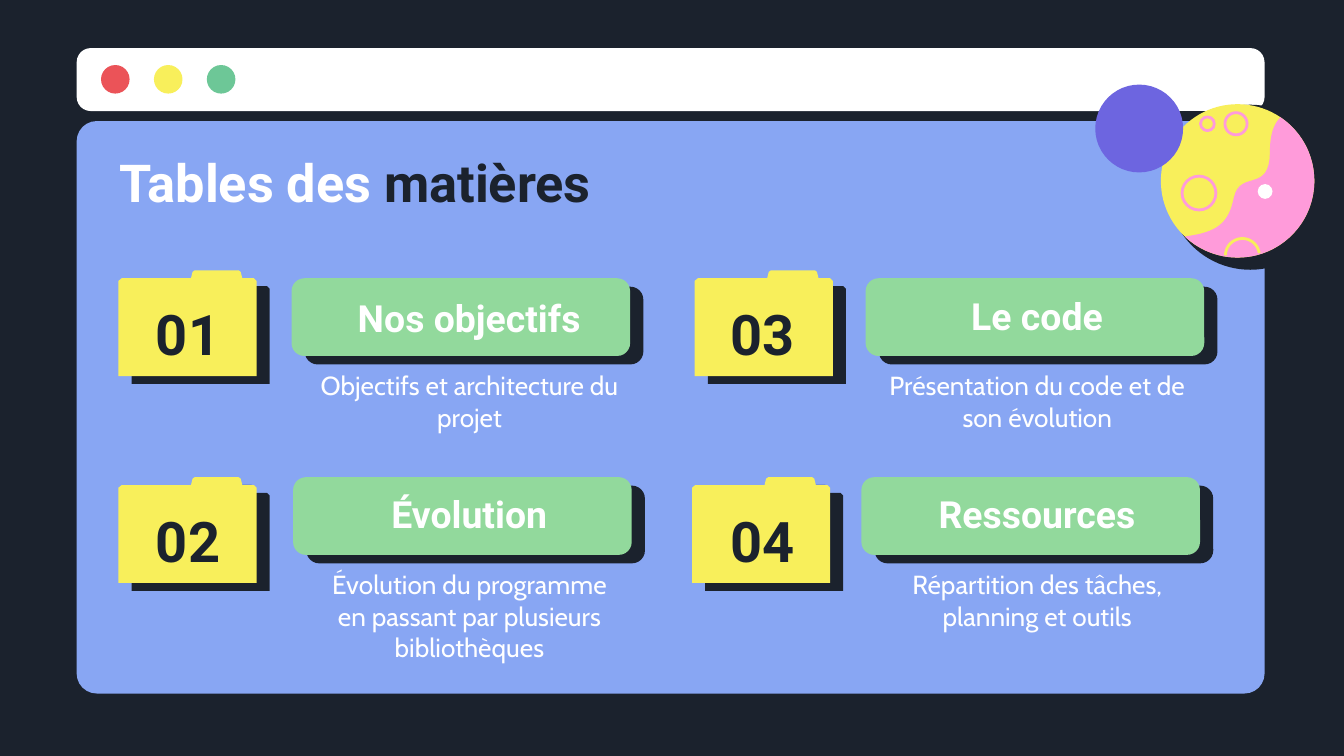
from math import atan2, cos, pi, radians, sin

from lxml.etree import SubElement
from pptx import Presentation
from pptx.dml.color import RGBColor
from pptx.enum.shapes import MSO_SHAPE
from pptx.enum.text import MSO_ANCHOR, MSO_AUTO_SIZE, PP_ALIGN
from pptx.oxml.ns import qn
from pptx.util import Cm, Pt

NIGHT, WHITE, BLUE = "1B222D", "FFFFFF", "88A6F3"
RED, YELLOW, TEAL = "EB5358", "F8EF5B", "6DC797"
GREEN, PINK, PURPLE = "92D99C", "FF9BDA", "6D65E0"
INSET = 0.25


def color(hex_code):
    return RGBColor.from_string(hex_code)


def paint(shape, fill=None, line=None, weight=1.5):
    shape.shadow.inherit = False
    if fill:
        shape.fill.solid()
        shape.fill.fore_color.rgb = color(fill)
    else:
        shape.fill.background()
    if line:
        shape.line.color.rgb = color(line)
        shape.line.width = Pt(weight)
    else:
        shape.line.fill.background()
    return shape


def add_panel(slide, box, fill, radius):
    panel = slide.shapes.add_shape(MSO_SHAPE.ROUNDED_RECTANGLE, *map(Cm, box))
    panel.adjustments[0] = radius
    return paint(panel, fill)


def add_disc(slide, x, y, radius, fill=None, line=None):
    """Circle centred on x, y."""
    box = (x - radius, y - radius, 2 * radius, 2 * radius)
    return paint(slide.shapes.add_shape(MSO_SHAPE.OVAL, *map(Cm, box)), fill, line)


def add_outline(slide, x, y, points, fill=None, line=None):
    """Freeform whose points are measured from x, y."""
    corners = [(Cm(x + dx), Cm(y + dy)) for dx, dy in points]
    builder = slide.shapes.build_freeform(*corners[0])
    builder.add_line_segments(corners[1:], close=fill is not None)
    return paint(builder.convert_to_shape(), fill, line)


def arc(x, y, radius, start, end, steps=40):
    angles = [start + (end - start) * i / steps for i in range(steps + 1)]
    return [(x + radius * cos(a), y + radius * sin(a)) for a in angles]


def bezier(p0, p1, p2, p3, steps=16):
    def at(t):
        weights = ((1 - t) ** 3, 3 * t * (1 - t) ** 2, 3 * t * t * (1 - t), t ** 3)
        return tuple(sum(w * p[axis] for w, p in zip(weights, (p0, p1, p2, p3)))
                     for axis in (0, 1))
    return [at(i / steps) for i in range(steps + 1)]


def write(shape, box, runs, size, font, bold, align, anchor):
    """Place a text shape and fill it with (text, colour) runs."""
    shape.left, shape.top, shape.width, shape.height = map(Cm, box)
    frame = shape.text_frame
    frame.word_wrap = True
    frame.auto_size = MSO_AUTO_SIZE.NONE
    frame.vertical_anchor = anchor
    frame.margin_left = frame.margin_right = Cm(INSET)
    frame.margin_top = frame.margin_bottom = Cm(INSET)
    paragraph = frame.paragraphs[0]
    paragraph.alignment = align
    paragraph.space_before = Pt(0)
    properties = paragraph._p.get_or_add_pPr()
    properties.set("marL", "0")
    properties.set("indent", "0")
    SubElement(properties, qn("a:buNone"))
    for text, ink in runs:
        run = paragraph.add_run()
        run.text = text
        run.font.name, run.font.size, run.font.bold = font, Pt(size), bold
        run.font.color.rgb = color(ink)


def add_label(slide, box, text, ink, size, anchor):
    label = slide.shapes.add_textbox(*map(Cm, box))
    write(label, box, [(text, ink)], size, "Roboto", True, PP_ALIGN.CENTER, anchor)


def bring_to_front(slide, shape):
    slide.shapes.element.append(shape.element)


def add_window(slide, x, y, width):
    add_panel(slide, (x, y, width, 1.19), WHITE, 0.223)
    for i, light in enumerate((RED, YELLOW, TEAL)):
        add_disc(slide, x + 0.73 + i, y + 0.59, 0.27, light)
    add_panel(slide, (x, y + 1.38, width, 10.82), BLUE, 0.035)


def add_planet(slide, x, y, radius):
    add_disc(slide, x + 0.24, y + 0.12, 1.56, NIGHT)
    add_disc(slide, x, y, radius, YELLOW)
    # Pink side: wavy border, then back along the rim
    west, middle, bend, north = (-0.99, 1.05), (-0.07, 0.31), (0.61, -0.55), (0.82, -1.21)
    border = (bezier(west, (-0.38, 0.97), (-0.17, 0.8), middle)
              + bezier(middle, (0.05, -0.22), (0.61, 0.24), bend)
              + bezier(bend, (0.61, -0.93), (0.71, -1.11), north))
    rim = arc(0, 0, radius, atan2(north[1], north[0]), atan2(west[1], west[0]))
    add_outline(slide, x, y, border + rim, PINK)
    # Craters
    for dx, dy, size in ((-0.03, -1.08, 0.21), (-0.57, -1.08, 0.13), (-0.73, 0.23, 0.32)):
        add_disc(slide, x + dx, y + dy, size, line=PINK)
    add_outline(slide, x, y, arc(0.09, 1.41, 0.32, pi, radians(352)), line=YELLOW)
    add_disc(slide, x + 0.52, y + 0.2, 0.14, WHITE)
    # Moon
    add_disc(slide, x - 1.86, y - 0.99, 0.83, PURPLE)


def add_folder(slide, x, y, number, number_x):
    points = [(0, 2), (0, 0.2), (0.06, 0.15), (1.37, 0.15), (1.4, 0.03), (1.44, 0),
              (2.27, 0), (2.31, 0.03), (2.34, 0.15), (2.56, 0.15), (2.61, 0.2), (2.61, 2)]
    folder = add_outline(slide, x, y, points, YELLOW)
    effects = folder.element.spPr.find(qn("a:effectLst"))
    shadow = SubElement(effects, qn("a:outerShdw"), blurRad="0", dist=str(Pt(8.2)),
                        dir=str(31 * 60000), algn="bl", rotWithShape="0")
    SubElement(shadow, qn("a:srgbClr"), val=NIGHT)
    add_label(slide, (number_x, y + 0.36, 2.21, 1.65), number, NIGHT, 30, MSO_ANCHOR.MIDDLE)


def add_topic(slide, x, y, center, heading, heading_drop, summary, placeholder):
    for shift, fill in ((1, NIGHT), (0, GREEN)):
        add_panel(slide, (x + 0.25 * shift, y + 0.16 * shift, 6.4, 1.47), fill, 0.167)
    add_label(slide, (center - 2.7, y + heading_drop, 5.4, 1.12), heading, WHITE, 20,
              MSO_ANCHOR.BOTTOM)
    write(placeholder, (center - 3.1, y + 1.48, 6.21, 1.47), [(summary, WHITE)], 14,
          "Cabin", False, PP_ALIGN.CENTER, MSO_ANCHOR.TOP)
    bring_to_front(slide, placeholder)


def add_contents_slide(deck):
    slide = deck.slides.add_slide(deck.slide_layouts.get_by_name("Comparison"))
    slide.background.fill.solid()
    slide.background.fill.fore_color.rgb = color(NIGHT)
    title, *summaries = slide.placeholders

    add_window(slide, 1.45, 0.91, 22.45)
    add_planet(slide, 23.39, 3.42, 1.45)

    # Title
    write(title, (2.01, 2.59, 21.41, 1.57), [("Tables des ", WHITE), ("matières", NIGHT)],
          28, "Roboto", True, PP_ALIGN.LEFT, MSO_ANCHOR.TOP)
    bring_to_front(slide, title)

    # Entries: folder x, button x, heading, heading drop, summary
    entries = [
        (2.24, 5.51, "Nos objectifs", 0.3, "Objectifs et architecture du projet"),
        (2.24, 5.54, "Évolution", 0.25,
         "Évolution du programme en passant par plusieurs bibliothèques"),
        (13.13, 16.36, "Le code", 0.25, "Présentation du code et de son évolution"),
        (13.08, 16.28, "Ressources", 0.25, "Répartition des tâches, planning et outils"),
    ]
    columns = ((2.45, 8.87), (13.31, 19.6))
    rows = ((5.11, 5.26), (9.02, 9.02))
    for i, (folder_x, button_x, heading, drop, summary) in enumerate(entries):
        number_x, center = columns[i // 2]
        folder_y, button_y = rows[i % 2]
        add_folder(slide, folder_x, folder_y, f"{i + 1:02}", number_x)
        add_topic(slide, button_x, button_y, center, heading, drop, summary, summaries[i])


def main():
    deck = Presentation()
    deck.slide_width, deck.slide_height = Cm(25.4), Cm(14.29)
    add_contents_slide(deck)
    deck.save("out.pptx")


if __name__ == "__main__":
    main()
